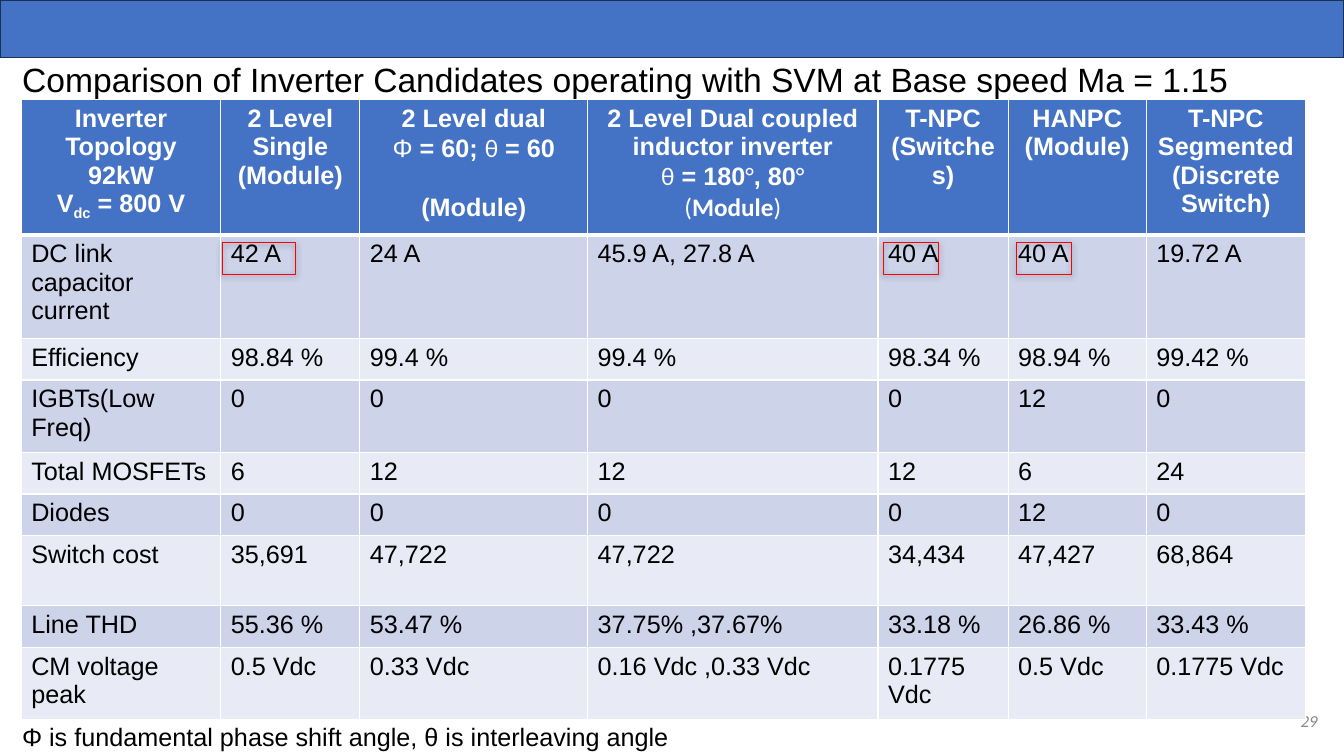
from lxml import etree
from pptx import Presentation
from pptx import util as u
from pptx.dml.color import RGBColor
from pptx.enum import shapes, text
from pptx.oxml import ns

COLORS = {"blue": "4472C4", "navy": "1C3052", "white": "FFFFFF", "black": "000000",
          "gray": "888888", "red": "FF0000", "band": "CDD4EA", "pale": "E8EBF5"}
ALIGN = text.PP_ALIGN
ANCHOR = text.MSO_ANCHOR


def color(name):
    return RGBColor.from_string(COLORS[name])


def add_xml(parent, tag, **attributes):
    return etree.SubElement(parent, ns.qn(tag), attributes)


class InverterSlide:
    """Places elements in percent of the slide's width and height."""

    def __init__(self, deck):
        self.deck = deck
        self.page = deck.slides.add_slide(deck.slide_layouts[5])

    def x(self, percent):
        return round(self.deck.slide_width * percent / 100)

    def y(self, percent):
        return round(self.deck.slide_height * percent / 100)

    def area(self, left, top, width, height):
        return self.x(left), self.y(top), self.x(width), self.y(height)

    def style(self, span, size, ink, bold=False, marks=""):
        """Marks: r regular weight, c Calibri, s subscript."""
        font = span.font
        font.name = "Calibri" if "c" in marks else "Arial"
        font.size = u.Pt(size)
        font.bold = bold and "r" not in marks
        font.color.rgb = color(ink)
        if "s" in marks:
            font._element.set("baseline", "-25000")

    def title(self, words, area):
        box = self.page.shapes.title
        box.left, box.top, box.width, box.height = self.area(*area)
        self.fill_text(box.text_frame, words, 24, "black")

    def label(self, words, area, size, ink, align=ALIGN.LEFT, anchor=ANCHOR.TOP, marks=""):
        box = self.page.shapes.add_textbox(*self.area(*area))
        self.fill_text(box.text_frame, words, size, ink, align, anchor, marks)
        return box

    def fill_text(self, frame, words, size, ink, align=ALIGN.LEFT, anchor=ANCHOR.TOP, marks=""):
        frame.text = words
        frame.word_wrap = True
        frame.auto_size = text.MSO_AUTO_SIZE.NONE
        frame.vertical_anchor = anchor
        para = frame.paragraphs[0]
        para.alignment = align
        self.style(para.runs[0], size, ink, marks=marks)

    def rectangle(self, area, line, width, fill=None):
        box = self.page.shapes.add_shape(shapes.MSO_SHAPE.RECTANGLE, *self.area(*area))
        box.shadow.inherit = False
        if fill:
            box.fill.solid()
            box.fill.fore_color.rgb = color(fill)
        else:
            box.fill.background()
        box.line.color.rgb = color(line)
        box.line.width = u.Pt(width)
        return box

    def highlight(self, area):
        box = self.rectangle(area, "red", 0.75)
        effects = box._element.spPr.find(ns.qn("a:effectLst"))
        shadow = add_xml(effects, "a:outerShdw", blurRad=str(u.Pt(4.5)),
                         dist=str(u.Pt(1.5)), dir="5400000", rotWithShape="0")
        shade = add_xml(shadow, "a:srgbClr", val=COLORS["black"])
        add_xml(shade, "a:alpha", val="50000")

    def borders(self, cell, top, bottom):
        properties = cell._tc.get_or_add_tcPr()
        sides = (("L", 1), ("R", 1), ("T", top), ("B", bottom))
        for position, (side, width) in enumerate(sides):
            line = add_xml(properties, f"a:ln{side}", w=str(u.Pt(width)))
            add_xml(add_xml(line, "a:solidFill"), "a:srgbClr", val=COLORS["white"])
            properties.insert(position, line)

    def cell(self, cell, paragraphs, fill, ink, align, bold):
        cell.fill.solid()
        cell.fill.fore_color.rgb = color(fill)
        frame = cell.text_frame
        for index, spans in enumerate(paragraphs):
            para = frame.add_paragraph() if index else frame.paragraphs[0]
            para.alignment = align
            for words, marks in [(spans, "")] if isinstance(spans, str) else spans:
                span = para.add_run()
                span.text = words
                self.style(span, 18, ink, bold, marks)

    def table(self, left, top, columns, rows, header, body):
        area = self.area(left, top, sum(columns), sum(rows))
        grid = self.page.shapes.add_table(len(rows), len(columns), *area).table
        for column, width in zip(grid.columns, columns):
            column.width = self.x(width)
        for row, height in zip(grid.rows, rows):
            row.height = self.y(height)
        for c, paragraphs in enumerate(header):
            self.cell(grid.cell(0, c), paragraphs, "blue", "white", ALIGN.CENTER, True)
            self.borders(grid.cell(0, c), 1, 3)
        for r, values in enumerate(body, 1):
            fill = "band" if r % 2 else "pale"
            for c, value in enumerate(values):
                self.cell(grid.cell(r, c), [value], fill, "black", ALIGN.LEFT, False)
                self.borders(grid.cell(r, c), 3 if r == 1 else 1, 1)
        return grid


HEADER = [
    ["Inverter Topology", "92kW", [("V", ""), ("dc", "s"), (" = 800 V", "")]],
    ["2 Level Single", "(Module)"],
    ["2 Level dual", [("Φ", "r"), (" = 60; ", ""), ("θ", "rc"), (" = 60", "")], "(Module)"],
    ["2 Level Dual coupled inductor inverter",
     [("θ", "rc"), (" = 180", ""), ("°", "rc"), (", 80", ""), ("°", "rc")],
     [("(", "rc"), ("Module", "c"), (")", "rc")]],
    ["T-NPC", "(Switches)"],
    ["HANPC", "(Module)"],
    ["T-NPC Segmented", "(Discrete Switch)"],
]
BODY = [
    ["DC link capacitor current", "42 A", "24 A", "45.9 A, 27.8 A", "40 A", "40 A", "19.72 A"],
    ["Efficiency", "98.84 %", "99.4 %", "99.4 %", "98.34 %", "98.94 %", "99.42 %"],
    ["IGBTs(Low Freq)", "0", "0", "0", "0", "12", "0"],
    ["Total MOSFETs", "6", "12", "12", "12", "6", "24"],
    ["Diodes", "0", "0", "0", "0", "12", "0"],
    ["Switch cost", "35,691", "47,722", "47,722", "34,434", "47,427", "68,864"],
    ["Line THD", "55.36 %", "53.47 %", "37.75% ,37.67%", "33.18 %", "26.86 %", "33.43 %"],
    ["CM voltage peak", "0.5 Vdc", "0.33 Vdc", "0.16 Vdc ,0.33 Vdc", "0.1775 Vdc",
     "0.5 Vdc", "0.1775 Vdc"],
]
COLUMNS = [14.85, 10.35, 16.95, 21.61, 9.68, 10.28, 11.85]
ROWS = [17.87, 13.73, 5.47, 9.6, 5.47, 5.47, 9.33, 5.47, 9.6]


def main():
    deck = Presentation()
    deck.slide_width, deck.slide_height = u.Inches(13.33), u.Inches(7.5)
    slide = InverterSlide(deck)

    # Top bar, title and page number
    slide.rectangle((0, 0, 100, 7.6), "navy", 1, "blue")
    slide.title("Comparison of Inverter Candidates operating with SVM at Base speed Ma = 1.15",
                (0.9, 7.07, 94.37, 6.67))
    number = slide.label("29", (76.29, 92.67, 22.5, 5.33), 12, "gray",
                         ALIGN.RIGHT, ANCHOR.MIDDLE, "c")
    number.text_frame.paragraphs[0].runs[0].font.italic = True

    # Comparison table; the module line of the dual inverter stands one line lower
    grid = slide.table(1.58, 13.2, COLUMNS, ROWS, HEADER, BODY)
    grid.cell(0, 2).text_frame.paragraphs[2].space_before = u.Pt(21)

    # Symbol note
    slide.label("Φ is fundamental phase shift angle, θ is interleaving angle",
                (0.9, 94.8, 50.49, 5.33), 18, "black")

    # Frames around the highest capacitor currents
    for left, width in ((65.72, 4.13), (75.62, 4.13), (16.58, 5.4)):
        slide.highlight((left, 32.13, width, 4.13))

    deck.save("out.pptx")


if __name__ == "__main__":
    main()
